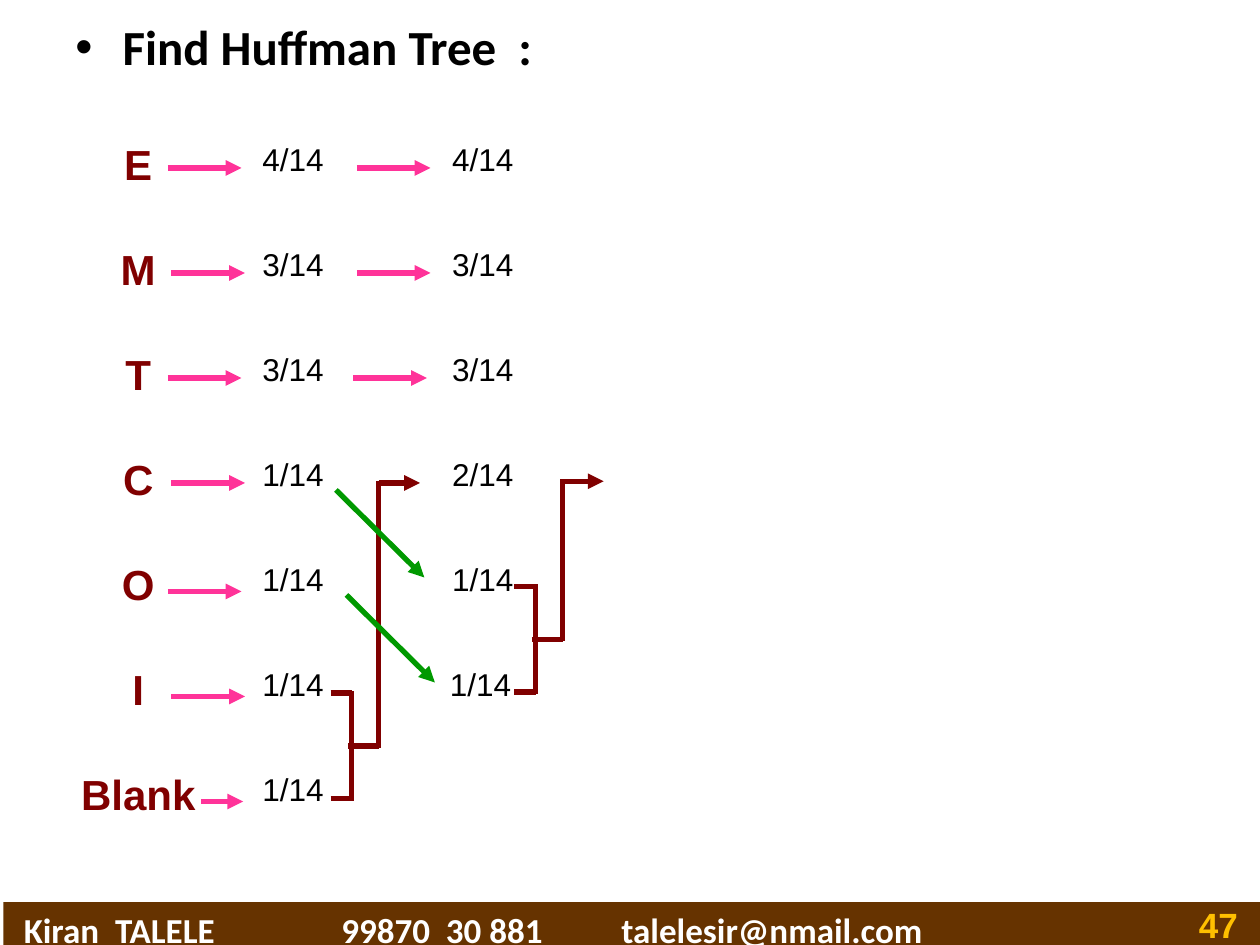
from pptx import Presentation
from pptx.dml.color import RGBColor
from pptx.enum.shapes import MSO_CONNECTOR as CONN, MSO_SHAPE as SHAPE
from pptx.enum.text import PP_ALIGN as ALIGN
from pptx.oxml.ns import qn
from pptx.util import Pt
from lxml.etree import SubElement

COLORS = {"black": "000000", "white": "FFFFFF", "maroon": "800000", "pink": "FF3399",
          "green": "009900", "brown": "663300", "gold": "FFC000"}

TITLE = "Find Huffman Tree  :"
ROWS = [  # symbol, probability, probability after the first merge
    ("E", "4/14", "4/14"),
    ("M", "3/14", "3/14"),
    ("T", "3/14", "3/14"),
    ("C", "1/14", "2/14"),
    ("O", "1/14", "1/14"),
    ("I", "1/14", "1/14"),
    ("Blank", "1/14", ""),
]
FOOTER = ["Kiran  TALELE", "99870  30 881", "talelesir@nmail.com"]
FOOTER_TABS = [181.5, 341.5]
PAGE = "47"

COL_WIDTHS = [86, 91, 91]
ROW_H = 60
SHIFTED = [(192, 280, 242.5, 330), (198, 340, 248.5, 390)]  # green arrows
MERGES = [(201, 396, 276), (306, 335, 275)]  # spine x, top y, arrow y

prs = Presentation()
prs.slide_width, prs.slide_height = Pt(720), Pt(540)
s = prs.slides.add_slide(prs.slide_layouts[6])


def rgb(name):
    return RGBColor.from_string(COLORS[name])


def add_run(p, text, size, color, font, bold=True):
    r = p.add_run()
    r.text = text
    r.font.size, r.font.name, r.font.bold = Pt(size), font, bold
    r.font.color.rgb = rgb(color)


def add_line(x1, y1, x2, y2, color="maroon", arrow=False):
    c = s.shapes.add_connector(CONN.STRAIGHT, Pt(x1), Pt(y1), Pt(x2), Pt(y2))
    c.line.width = Pt(3)
    c.line.color.rgb = rgb(color)
    if arrow:
        SubElement(c.line._get_or_add_ln(), qn("a:tailEnd"), type="triangle")
    SubElement(c._element.spPr, qn("a:effectLst"))


def add_merge(x, top, arrow_y):
    """Bracket two values and lead their sum up to its new row."""
    height, out = 60.5, x + 15.5
    mid, bottom = top + height / 2, top + height
    add_line(x - 12, top, x, top)
    add_line(x - 12, bottom, x, bottom)
    add_line(x, bottom + 1, x, top - 1)
    add_line(x - 2, mid, out, mid)
    add_line(out, mid + 1, out, arrow_y - 1)
    add_line(out, arrow_y, out + 23.5, arrow_y, arrow=True)


# Probability table
table = s.shapes.add_table(len(ROWS), 3, Pt(36), Pt(78), Pt(sum(COL_WIDTHS)),
                           Pt(ROW_H * len(ROWS))).table
table.first_row = table.horz_banding = False
for col, width in zip(table.columns, COL_WIDTHS):
    col.width = Pt(width)
for i, row in enumerate(ROWS):
    table.rows[i].height = Pt(ROW_H)
    for j, text in enumerate(row):
        cell = table.cell(i, j)
        cell.fill.background()
        if j == 2:
            cell.margin_left = Pt(39.5 if i == 5 else 42)
        p = cell.text_frame.paragraphs[0]
        p.alignment = ALIGN.CENTER
        if j == 0:
            add_run(p, text, 24, "maroon", "Arial")
        elif text:
            add_run(p, text, 18, "black", "Arial", False)

# Arrows from symbols to values, and between unchanged values
for i in range(len(ROWS)):
    y = 96 + ROW_H * i + (2 if i > 3 else 0)
    x, length = (115, 24) if i == 6 else (96 + 2 * (i % 2), 42)
    add_line(x, y, x + length, y, "pink", True)
    if i < 3:
        x = 202 if i == 2 else 204
        add_line(x, y, x + 42, y, "pink", True)

# Merges, then values that move down a row
for merge in MERGES:
    add_merge(*merge)
for ends in SHIFTED:
    add_line(*ends, "green", True)

# Title
tf = s.shapes.add_textbox(Pt(36), Pt(6), Pt(582), Pt(42)).text_frame
tf.word_wrap = True
p = tf.paragraphs[0]
pPr = p._p.get_or_add_pPr()
pPr.set("marL", str(Pt(27)))
pPr.set("indent", str(-Pt(27)))
SubElement(SubElement(pPr, qn("a:buClr")), qn("a:srgbClr"), val=COLORS["black"])
SubElement(pPr, qn("a:buFont"), typeface="Arial")
SubElement(pPr, qn("a:buChar"), char="•")
add_run(p, TITLE, 28, "black", "Calibri")

# Footer bar
sp = s.shapes.add_shape(SHAPE.RECTANGLE, Pt(2), Pt(515.5), Pt(720), Pt(36.5))
sp.shadow.inherit = False
sp.fill.solid()
sp.fill.fore_color.rgb = rgb("brown")
sp.line.fill.background()
tf = sp.text_frame
tf.vertical_anchor = 1  # top
p = tf.paragraphs[0]
p.alignment = ALIGN.LEFT
pPr = p._p.get_or_add_pPr()
pPr.set("marL", str(Pt(4.5)))
tabs = SubElement(pPr, qn("a:tabLst"))
for pos in FOOTER_TABS:
    SubElement(tabs, qn("a:tab"), pos=str(Pt(pos)), algn="l")
add_run(p, "\t".join(FOOTER), 20, "white", "Calibri")

# Page number
tf = s.shapes.add_textbox(Pt(678), Pt(512.5), Pt(42), Pt(32)).text_frame
tf.word_wrap = True
add_run(tf.paragraphs[0], PAGE, 20, "gold", "Arial")

prs.save("out.pptx")
